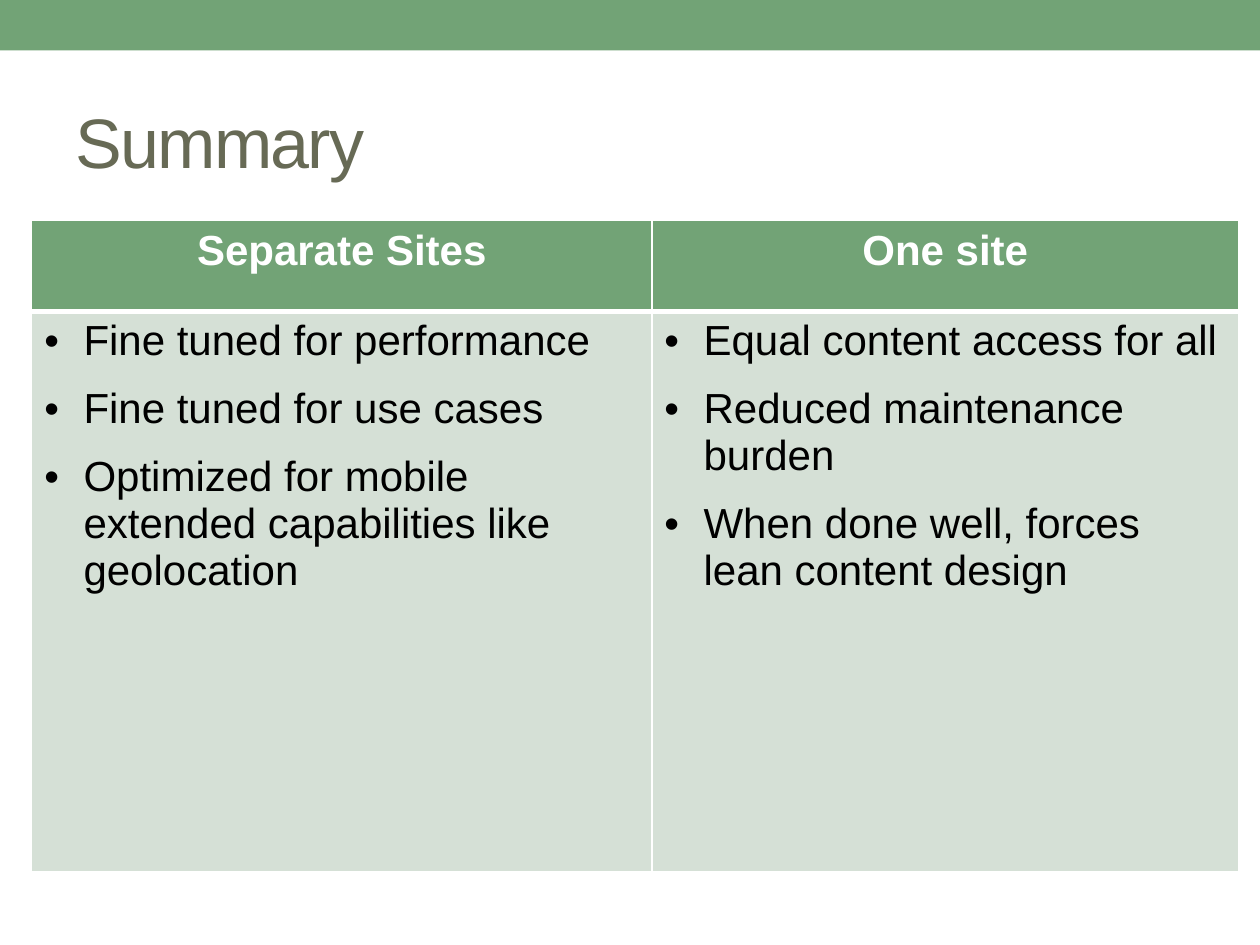
from lxml.etree import SubElement
from pptx import Presentation
from pptx.dml.color import RGBColor
from pptx.enum.shapes import MSO_SHAPE
from pptx.enum.text import MSO_ANCHOR, MSO_AUTO_SIZE, PP_ALIGN
from pptx.oxml import parse_xml
from pptx.oxml.ns import nsdecls, qn
from pptx.util import Cm, Pt

GREEN, PALE_GREEN, OLIVE = "72A376", "D5E0D6", "676A55"
WHITE, BLACK = "FFFFFF", "000000"
COLUMN_WIDTHS = (12.5, 11.83)
HEADER_HEIGHT, BODY_HEIGHT = 1.83, 11.3
COMPARISON = {
    "Separate Sites": (
        "Fine tuned for performance",
        "Fine tuned for use cases",
        "Optimized for mobile extended capabilities like geolocation",
    ),
    "One site": (
        "Equal content access for all",
        "Reduced maintenance burden",
        "When done well, forces lean content design",
    ),
}


def color(value):
    """Turn a hex string into a colour."""
    return RGBColor.from_string(value)


def add_run(paragraph, text, size, ink, bold=False):
    """Append a formatted run to a paragraph."""
    run = paragraph.add_run()
    run.text = text
    run.font.name = "Arial"
    run.font.size = Pt(size)
    run.font.bold = bold
    run.font.color.rgb = color(ink)
    return run


def add_banner(slide):
    """Draw the band across the top of the slide."""
    banner = slide.shapes.add_shape(MSO_SHAPE.RECTANGLE, 0, 0, Cm(25.4), Cm(1.02))
    banner.shadow.inherit = False
    banner.fill.solid()
    banner.fill.fore_color.rgb = color(GREEN)
    banner.line.fill.background()


def set_title(slide, text):
    """Place and format the slide title."""
    title = slide.shapes.title
    title.left, title.top = Cm(1.27), Cm(1.47)
    title.width, title.height = Cm(22.86), Cm(2.74)
    frame = title.text_frame
    frame.word_wrap = True
    frame.auto_size = MSO_AUTO_SIZE.NONE
    frame.vertical_anchor = MSO_ANCHOR.MIDDLE
    heading = frame.paragraphs[0]
    heading.alignment = PP_ALIGN.LEFT
    run = add_run(heading, text, 40, OLIVE)
    run.font._element.set("spc", "-100")


def style_cell(cell, fill, top, bottom):
    """Fill a cell and give it white borders."""
    cell.fill.solid()
    cell.fill.fore_color.rgb = color(fill)
    properties = cell._tc.get_or_add_tcPr()
    widths = {"lnL": 1, "lnR": 1, "lnT": top, "lnB": bottom}
    for position, (side, width) in enumerate(widths.items()):
        border = parse_xml(
            f'<a:{side} {nsdecls("a")} w="{Pt(width)}"><a:solidFill>'
            f'<a:srgbClr val="{WHITE}"/></a:solidFill></a:{side}>'
        )
        properties.insert(position, border)


def add_bullets(cell, points):
    """Write the points of a cell as a bulleted list."""
    frame = cell.text_frame
    for number, point in enumerate(points):
        paragraph = frame.add_paragraph() if number else frame.paragraphs[0]
        properties = paragraph._p.get_or_add_pPr()
        properties.set("marL", str(Cm(0.79)))
        properties.set("indent", str(-Cm(0.79)))
        SubElement(properties, qn("a:buFont"), typeface="Arial")
        SubElement(properties, qn("a:buChar"), char="•")
        paragraph.space_before = Pt(6 if number else 0)
        paragraph.space_after = Pt(6)
        add_run(paragraph, point, 24, BLACK)


def add_comparison(slide):
    """Build the table that compares the two approaches."""
    table = slide.shapes.add_table(
        2, len(COMPARISON), Cm(0.64), Cm(4.45),
        Cm(sum(COLUMN_WIDTHS)), Cm(HEADER_HEIGHT + BODY_HEIGHT),
    ).table
    table.rows[0].height = Cm(HEADER_HEIGHT)
    table.rows[1].height = Cm(BODY_HEIGHT)
    for index, (approach, points) in enumerate(COMPARISON.items()):
        table.columns[index].width = Cm(COLUMN_WIDTHS[index])
        header, body = table.cell(0, index), table.cell(1, index)
        style_cell(header, GREEN, top=1, bottom=3)
        style_cell(body, PALE_GREEN, top=3, bottom=1)
        heading = header.text_frame.paragraphs[0]
        heading.alignment = PP_ALIGN.CENTER
        add_run(heading, approach, 24, WHITE, bold=True)
        add_bullets(body, points)


def main():
    """Build and save the summary slide."""
    presentation = Presentation()
    presentation.slide_width, presentation.slide_height = Cm(25.4), Cm(19.05)
    slide = presentation.slides.add_slide(presentation.slide_layouts[5])
    add_banner(slide)
    set_title(slide, "Summary")
    add_comparison(slide)
    presentation.save("out.pptx")


if __name__ == "__main__":
    main()
